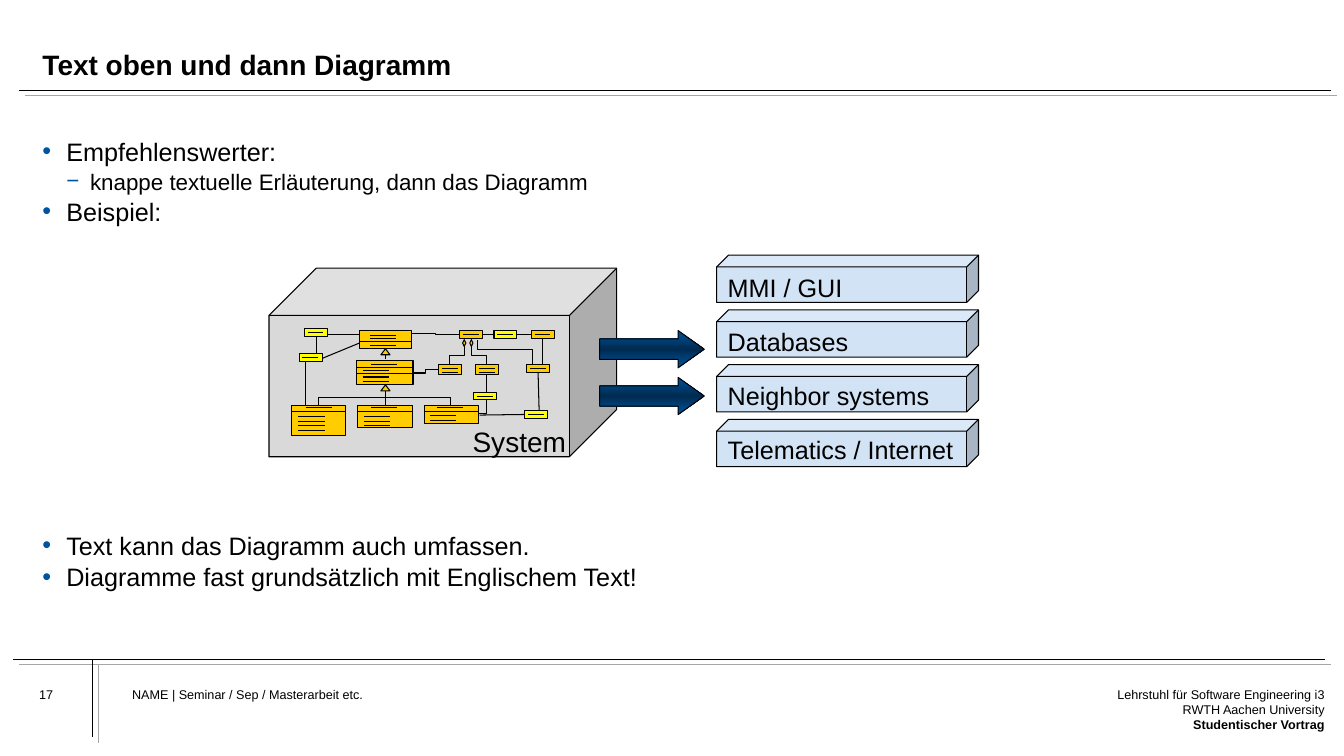
import copy
from collections import namedtuple

import pptx
import pptx.dml.color
import pptx.enum.dml
import pptx.enum.shapes
import pptx.enum.text
import pptx.oxml
import pptx.oxml.ns
import pptx.util

Cm, Pt, RGBColor = pptx.util.Cm, pptx.util.Pt, pptx.dml.color.RGBColor
SHAPE = pptx.enum.shapes.MSO_SHAPE
CONNECTOR = pptx.enum.shapes.MSO_CONNECTOR
ALIGN = pptx.enum.text.PP_ALIGN
ANCHOR = pptx.enum.text.MSO_ANCHOR
qn = pptx.oxml.ns.qn

BLACK = RGBColor(0x00, 0x00, 0x00)
GREY = RGBColor(0xA6, 0xA6, 0xA6)
LIGHT_GREY = RGBColor(0xD9, 0xD9, 0xD9)
BLUE = RGBColor(0x00, 0x54, 0x9F)
DARK_BLUE = RGBColor(0x00, 0x2A, 0x50)
PALE_BLUE = RGBColor(0xD2, 0xE3, 0xF5)
ORANGE = RGBColor(0xFF, 0xCC, 0x00)
YELLOW = RGBColor(0xFF, 0xFF, 0x00)

# All box lengths are centimetres
Box = namedtuple("Box", "left top width height")


def inside(box, left, top, width, height):
    return Box(box.left + left, box.top + top, width, height)


def put(shape, box):
    shape.left, shape.top, shape.width, shape.height = map(Cm, box)


def style_text(para, size, bold=False):
    for span in para.runs:
        span.font.name, span.font.size, span.font.bold = "Arial", Pt(size), bold
        span.font.color.rgb = BLACK


def clear_margins(frame):
    frame.margin_left = frame.margin_right = frame.margin_top = frame.margin_bottom = 0


def add_text(page, box, text, size, align=ALIGN.LEFT, margins=False):
    frame = page.shapes.add_textbox(*map(Cm, box)).text_frame
    frame.word_wrap = not margins
    if not margins:
        clear_margins(frame)
    frame.text = text
    for para in frame.paragraphs:
        para.alignment = align
        style_text(para, size)
    return frame


def add_shape(page, kind, box, color=None):
    shape = page.shapes.add_shape(kind, *map(Cm, box))
    shape.shadow.inherit = False
    if color is not None:
        shape.fill.solid()
        shape.fill.fore_color.rgb = color
    shape.line.color.rgb, shape.line.width = BLACK, Pt(0.75)
    return shape


def add_line(page, start, end, color=BLACK, width=0.75, kind=CONNECTOR.STRAIGHT):
    line = page.shapes.add_connector(kind, *map(Cm, start + end))
    line.line.color.rgb, line.line.width = color, Pt(width)
    line._element.spPr.append(pptx.oxml.parse_xml(
        '<a:effectLst xmlns:a="http://schemas.openxmlformats.org/drawingml/2006/main"/>'))
    return line


def add_drop_elbow(page, start, end, bend=0.5, preset="bentConnector3"):
    """Elbow that leaves its start downwards: a sideways elbow turned by 90 degrees."""
    middle_x, middle_y = (start[0] + end[0]) / 2, (start[1] + end[1]) / 2
    half_x, half_y = (end[0] - start[0]) / 2, (end[1] - start[1]) / 2
    line = add_line(page, (middle_x - half_y, middle_y + half_x),
                    (middle_x + half_y, middle_y - half_x), kind=CONNECTOR.ELBOW)
    properties = line._element.spPr
    properties.find(qn("a:xfrm")).set("rot", "5400000")
    geometry = properties.find(qn("a:prstGeom"))
    geometry.set("prst", preset)
    if bend != 0.5:
        guide = geometry.find(qn("a:avLst")).makeelement(qn("a:gd"))
        guide.set("name", "adj1")
        guide.set("fmla", f"val {round(bend * 100000)}")
        geometry.find(qn("a:avLst")).append(guide)


def add_rules(page):
    # Each black rule has a grey shadow rule, shifted right and down
    for start, end in (((0.48, 2.27), (33.55, 2.27)), ((0.33, 16.61), (33.38, 16.61)),
                       ((2.34, 16.61), (2.34, 18.57))):
        add_line(page, start, end, BLACK, 0.5)
        add_line(page, *[(x + 0.15, y + 0.14) for x, y in (start, end)], GREY, 0.5)


def add_title(page, box):
    title = page.shapes.title
    put(title, box)
    frame = title.text_frame
    frame.text = "Text oben und dann Diagramm"
    clear_margins(frame)
    frame.vertical_anchor = ANCHOR.BOTTOM
    para = frame.paragraphs[0]
    para.alignment, para.line_spacing = ALIGN.LEFT, 0.9
    style_text(para, 20, True)


def add_list(page, box):
    # The fourth item starts below the diagram
    items = [("Empfehlenswerter:", 0, 0),
             ("knappe textuelle Erläuterung, dann das Diagramm", 1, 0),
             ("Beispiel:", 0, 0),
             ("Text kann das Diagramm auch umfassen.", 0, 216),
             ("Diagramme fast grundsätzlich mit Englischem Text!", 0, 0)]
    body = page.placeholders[1]
    put(body, box)
    frame = body.text_frame
    clear_margins(frame)
    frame.auto_size = pptx.enum.text.MSO_AUTO_SIZE.NONE
    frame.text = "\n".join(text for text, level, gap in items)
    for para, (text, level, gap) in zip(frame.paragraphs, items):
        para.level = level
        para.space_before, para.space_after = Pt(gap), Pt(1)
        style_text(para, 18 - 2 * level)
        properties = para._p.get_or_add_pPr()
        properties.set("marL", str(Cm(0.6 * (level + 1))))
        properties.set("indent", str(Cm(-0.6)))
        for bullet in (f'<a:buClr {{}}><a:srgbClr val="{BLUE}"/></a:buClr>',
                       f'<a:buChar {{}} char="{"•−"[level]}"/>'):
            properties.append(pptx.oxml.parse_xml(bullet.format(pptx.oxml.ns.nsdecls("a"))))


def add_footer(page, box):
    add_text(page, inside(box, 0, 0, 2.03, 1.09), "17", 9)
    add_text(page, inside(box, 2.34, 0, 19.46, 1.75), "NAME | Seminar / Sep / Masterarbeit etc.", 9)
    sender = add_text(page, inside(box, box.width - 5.46, 0, 5.46, 1.75),
                      "Lehrstuhl für Software Engineering i3\nRWTH Aachen University\n"
                      "Studentischer Vortrag", 9, ALIGN.RIGHT)
    style_text(sender.paragraphs[2], 9, True)


def add_class(page, box, color, dividers, texts):
    add_shape(page, SHAPE.RECTANGLE, box, color)
    rows = [(0, y, box.width) for y in dividers] + list(texts)
    for x, y, length in rows:
        add_line(page, (box.left + x, box.top + y), (box.left + x + length, box.top + y))


def add_class_diagram(page, box):
    def at(x, y):
        return box.left + x, box.top + y

    # Straight links
    for x1, y1, x2, y2 in ((0.69, 1.73, 0.69, 1.93), (0.69, 1.73, 4.02, 1.73),
                           (2.37, 1.57, 2.37, 1.93), (4.02, 1.73, 4.02, 1.93),
                           (6.32, 0.25, 6.32, 0.91), (4.83, 0.15, 6.05, 0.15),
                           (0.89, 0.15, 1.75, 0.15), (0.64, 0.69, 0.64, 0.2),
                           (0.76, 0.76, 1.73, 0.36), (0.36, 0.84, 0.36, 1.93)):
        add_line(page, at(x1, y1), at(x2, y2))
    dashed = add_line(page, at(2.37, 0.66), at(2.37, 0.81))
    dashed.line.dash_style = pptx.enum.dml.MSO_LINE.DASH

    # Bent links
    add_line(page, at(4.24, 0.16), at(3.02, 0.13), kind=CONNECTOR.ELBOW)
    add_line(page, at(3.71, 1.04), at(3.07, 1.12), kind=CONNECTOR.ELBOW)
    add_drop_elbow(page, at(4.55, 0.43), at(4.93, 0.91))
    add_drop_elbow(page, at(4.36, 0.43), at(3.99, 0.91))
    add_drop_elbow(page, at(4.7, 0.28), at(6.07, 0.91), 0.385)
    add_drop_elbow(page, at(4.93, 1.17), at(4.72, 2.13), preset="bentConnector2")
    corners = [tuple(map(Cm, at(*point))) for point in ((4.75, 2.18), (6.25, 2.16), (6.22, 1.07))]
    builder = page.shapes.build_freeform(*corners[0])
    builder.add_line_segments(corners[1:], close=False)
    link = builder.convert_to_shape()
    link.shadow.inherit = False
    link.fill.background()
    link.line.color.rgb, link.line.width = BLACK, Pt(0.75)

    # Large classes: a short header line, then attribute lines
    for left, top, width, height, dividers, indents, header, attributes in (
            (1.73, 0.05, 1.3, 0.46, (0.28,), (0.25, 0.25), (0.13, 0.2), (0.38,)),
            (1.65, 0.81, 1.42, 0.61, (0.18, 0.33), (0.36, 0.15), (0.1,), (0.25, 0.41, 0.53)),
            (0, 1.93, 1.37, 0.76, (0.15,), (0.36, 0.18), (0.07,), (0.28, 0.4, 0.52, 0.65)),
            (1.68, 1.93, 1.37, 0.56, (0.15,), (0.33, 0.15), (0.05,), (0.28, 0.4, 0.51)),
            (3.35, 1.93, 1.37, 0.46, (0.15,), (0.33, 0.15), (0.05,), (0.26, 0.38))):
        texts = [(indent, y, 0.66) for indent, rows in zip(indents, (header, attributes))
                 for y in rows]
        add_class(page, inside(box, left, top, width, height), ORANGE, dividers, texts)

    # Small classes
    for color, left, top, rows in (
            (ORANGE, 4.24, 0.05, 1), (ORANGE, 6.05, 0.05, 1), (ORANGE, 5.94, 0.91, 1),
            (ORANGE, 3.71, 0.91, 2), (ORANGE, 4.65, 0.91, 2),
            (YELLOW, 0.33, 0, 1), (YELLOW, 0.2, 0.64, 1), (YELLOW, 5.11, 0.05, 1),
            (YELLOW, 4.6, 1.6, 1), (YELLOW, 5.89, 2.06, 1)):
        texts = [(0.08, 0.1 * (row + 1), 0.4) for row in range(rows)]
        add_class(page, inside(box, left, top, 0.58, 0.15 + 0.05 * rows), color, (), texts)

    # Inheritance triangles and aggregation diamonds
    for top in (0.51, 1.42):
        add_shape(page, SHAPE.ISOSCELES_TRIANGLE, inside(box, 2.26, top, 0.23, 0.15), ORANGE)
    for left in (4.32, 4.5):
        add_shape(page, SHAPE.FLOWCHART_DECISION, inside(box, left, 0.28, 0.08, 0.17), ORANGE)


def add_system(page, box):
    add_shape(page, SHAPE.CUBE, box, LIGHT_GREY)
    add_class_diagram(page, inside(box, 0.56, 1.52, 6.63, 2.69))
    add_text(page, inside(box, 4.88, 3.81, 2.87, 1.09), "System", 20, margins=True)


def add_arrows(page, box):
    for row in range(2):
        arrow = add_shape(page, SHAPE.RIGHT_ARROW, inside(box, 0, 1.18 * row, box.width, 0.94))
        arrow.adjustments[0], arrow.adjustments[1] = 0.547, 0.703
        arrow.fill.gradient()
        arrow.fill.gradient_angle = 270
        stops = arrow._element.spPr.find(".//" + qn("a:gsLst"))
        stops.insert(1, copy.deepcopy(stops[0]))
        for stop, place, color in zip(arrow.fill.gradient_stops, (0, 0.5, 1),
                                      (BLUE, DARK_BLUE, BLUE)):
            stop.position, stop.color.rgb = place, color


def add_modules(page, box):
    modules = [("MMI / GUI", 3.4), ("Databases", 3.56),
               ("Neighbor systems", 5.59), ("Telematics / Internet", 6.27)]
    for row, (label, width) in enumerate(modules):
        add_shape(page, SHAPE.CUBE, inside(box, 0, 1.38 * row, box.width, 1.19), PALE_BLUE)
        add_text(page, inside(box, 0.03, 0.3 + 1.36 * row, width, 1.02), label, 18, margins=True)


def main():
    deck = pptx.Presentation()
    deck.slide_width, deck.slide_height = Cm(33.87), Cm(19.05)
    page = deck.slides.add_slide(deck.slide_layouts[1])
    add_rules(page)
    add_title(page, Box(1.07, 0.56, 31.9, 1.5))
    add_list(page, Box(1.07, 3.43, 31.9, 12.19))
    add_footer(page, Box(0.99, 17.3, 32.39, 1.75))
    add_system(page, Box(6.78, 6.76, 8.76, 4.75))
    add_arrows(page, Box(15.11, 8.33, 2.64, 2.12))
    add_modules(page, Box(18.06, 6.43, 6.6, 5.33))
    deck.save("out.pptx")


if __name__ == "__main__":
    main()
